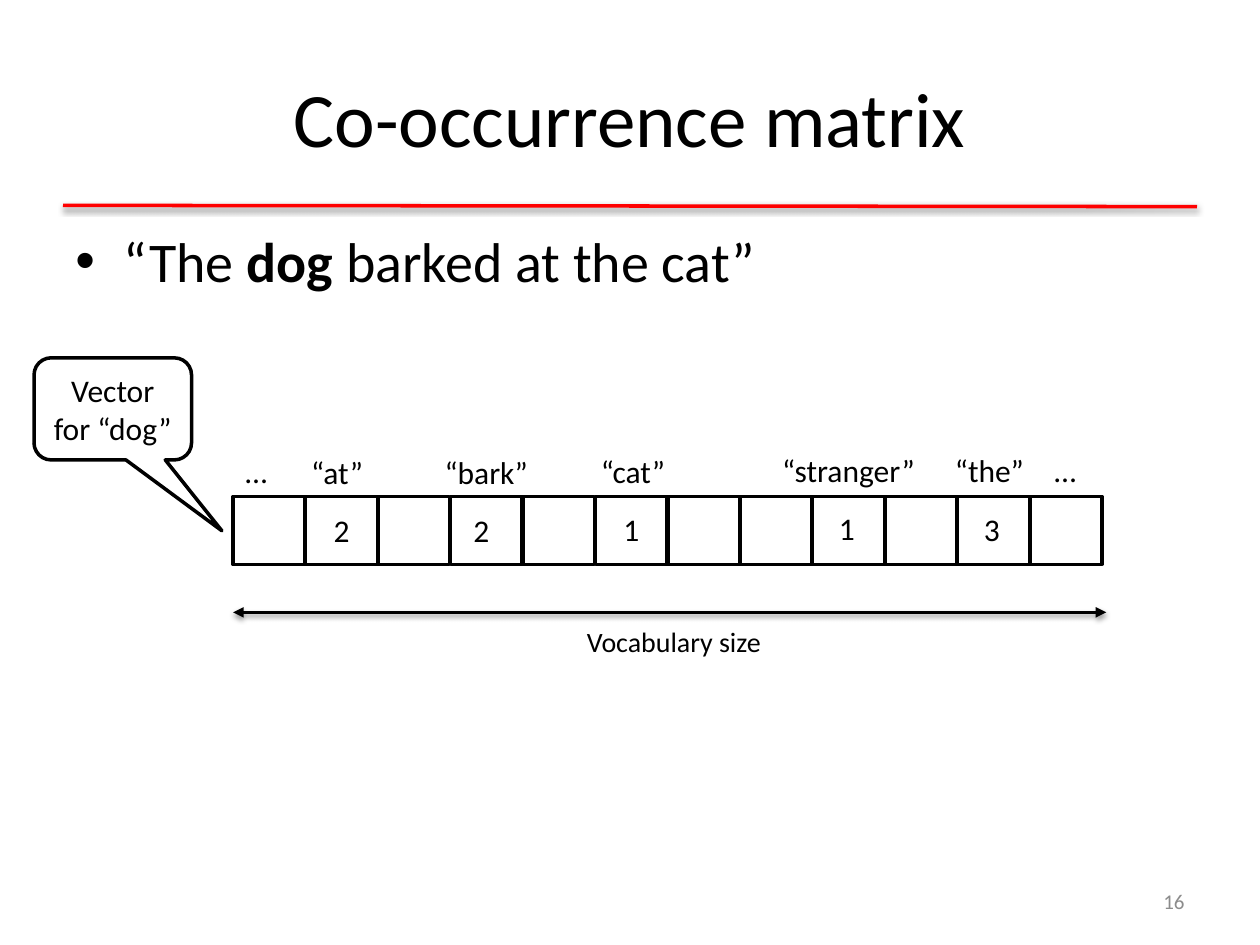
from lxml.etree import SubElement
from pptx import Presentation
from pptx.dml.color import RGBColor
from pptx.enum.shapes import MSO_CONNECTOR, MSO_SHAPE
from pptx.enum.text import MSO_ANCHOR, PP_ALIGN
from pptx.oxml.ns import qn
from pptx.util import Inches, Pt

deck = Presentation()
deck.slide_width, deck.slide_height = Inches(10), Inches(7.5)
page = deck.slides.add_slide(deck.slide_layouts[6])
shapes = page.shapes

margin = 0.5
row_left, row_top = 1.85, 3.94
cell_pitch, cell_width, cell_height = 0.575, 0.57, 0.54
cell_count = 12
label_top, value_top = 3.54, 4


def write(box, runs, size, align=PP_ALIGN.LEFT, anchor=MSO_ANCHOR.TOP, wrap=True, color="000000"):
    box.text_frame.word_wrap = wrap
    box.text_frame.vertical_anchor = anchor
    para = box.text_frame.paragraphs[0]
    para.alignment = align
    for text, bold in runs:
        span = para.add_run()
        span.text = text
        span.font.name = "Calibri"
        span.font.size = Pt(size)
        span.font.bold = bold
        span.font.color.rgb = RGBColor.from_string(color)
    return para


def draw_line(start, end, color, arrows=False):
    line = shapes.add_connector(MSO_CONNECTOR.STRAIGHT, *map(Inches, start + end))
    line.line.color.rgb = RGBColor.from_string(color)
    line.line.width = Pt(2)
    if arrows:
        for tip in ("a:headEnd", "a:tailEnd"):
            SubElement(line.line._get_or_add_ln(), qn(tip), type="triangle")
    effects = SubElement(line._element.spPr, qn("a:effectLst"))
    shadow = SubElement(effects, qn("a:outerShdw"), blurRad=str(Pt(3.1)), dist=str(Pt(1.6)),
                        dir="5400000", rotWithShape="0")
    shade = SubElement(shadow, qn("a:srgbClr"), val="000000")
    SubElement(shade, qn("a:alpha"), val="38000")


draw_line((margin, 1.63), (10 - margin, 1.64), "FF0000")

title = shapes.add_textbox(Inches(margin), Inches(0.3), Inches(9), Inches(1.25))
write(title, [("Co-occurrence matrix", False)], 44, PP_ALIGN.CENTER, MSO_ANCHOR.MIDDLE)

sentence = shapes.add_textbox(Inches(margin), Inches(1.75), Inches(9), Inches(0.81))
para = write(sentence, [("“The ", False), ("dog", True), (" barked at the cat”", False)], 32)
properties = para._p.get_or_add_pPr()
properties.set("marL", str(Inches(0.38)))
properties.set("indent", str(-Inches(0.38)))
SubElement(properties, qn("a:buFont"), typeface="Arial")
SubElement(properties, qn("a:buChar"), char="•")

number = shapes.add_textbox(Inches(7.17), Inches(6.95), Inches(2.33), Inches(0.4))
write(number, [("16", False)], 12, PP_ALIGN.RIGHT, MSO_ANCHOR.MIDDLE, color="8C8C8C")

for column in range(cell_count):
    cell = shapes.add_shape(MSO_SHAPE.RECTANGLE, Inches(row_left + column * cell_pitch),
                            Inches(row_top), Inches(cell_width), Inches(cell_height))
    cell.shadow.inherit = False
    cell.fill.background()
    cell.line.color.rgb = RGBColor.from_string("000000")
    cell.line.width = Pt(2)

callout = shapes.add_shape(MSO_SHAPE.ROUNDED_RECTANGULAR_CALLOUT,
                           Inches(0.27), Inches(2.84), Inches(1.25), Inches(0.81))
for index, value in enumerate((0.693, 1.195, 0.167)):
    callout.adjustments[index] = value
callout.shadow.inherit = False
callout.fill.solid()
callout.fill.fore_color.rgb = RGBColor.from_string("FFFFFF")
callout.line.color.rgb = RGBColor.from_string("000000")
callout.line.width = Pt(2)
write(callout, [("Vector for “dog”", False)], 18, PP_ALIGN.CENTER, MSO_ANCHOR.MIDDLE)

draw_line((row_left, 4.86), (8.78, 4.86), "000000", arrows=True)

captions = [
    ("…", row_left, label_top, 0.43, 18),
    ("“at”", 2.37, label_top + 0.01, 0.62, 18),
    ("“bark”", 3.43, label_top + 0.01, 0.87, 18),
    ("“cat”", 4.67, label_top, 0.72, 18),
    ("“stranger”", 6.11, label_top - 0.01, 1.26, 18),
    ("“the”", 7.48, label_top - 0.01, 0.75, 18),
    ("…", 8.27, label_top - 0.01, 0.43, 18),
    ("2", 2.55, value_top + 0.01, 0.33, 18),
    ("2", 3.66, value_top + 0.01, 0.33, 18),
    ("1", 4.85, value_top, 0.33, 18),
    ("1", 6.56, value_top - 0.01, 0.33, 18),
    ("3", 7.71, value_top, 0.33, 18),
    ("Vocabulary size", 4.56, 4.91, 1.6, 16),
]
for text, left, top, width, size in captions:
    caption = shapes.add_textbox(Inches(left), Inches(top), Inches(width), Inches(0.4))
    write(caption, [(text, False)], size, wrap=False)

deck.save("out.pptx")
